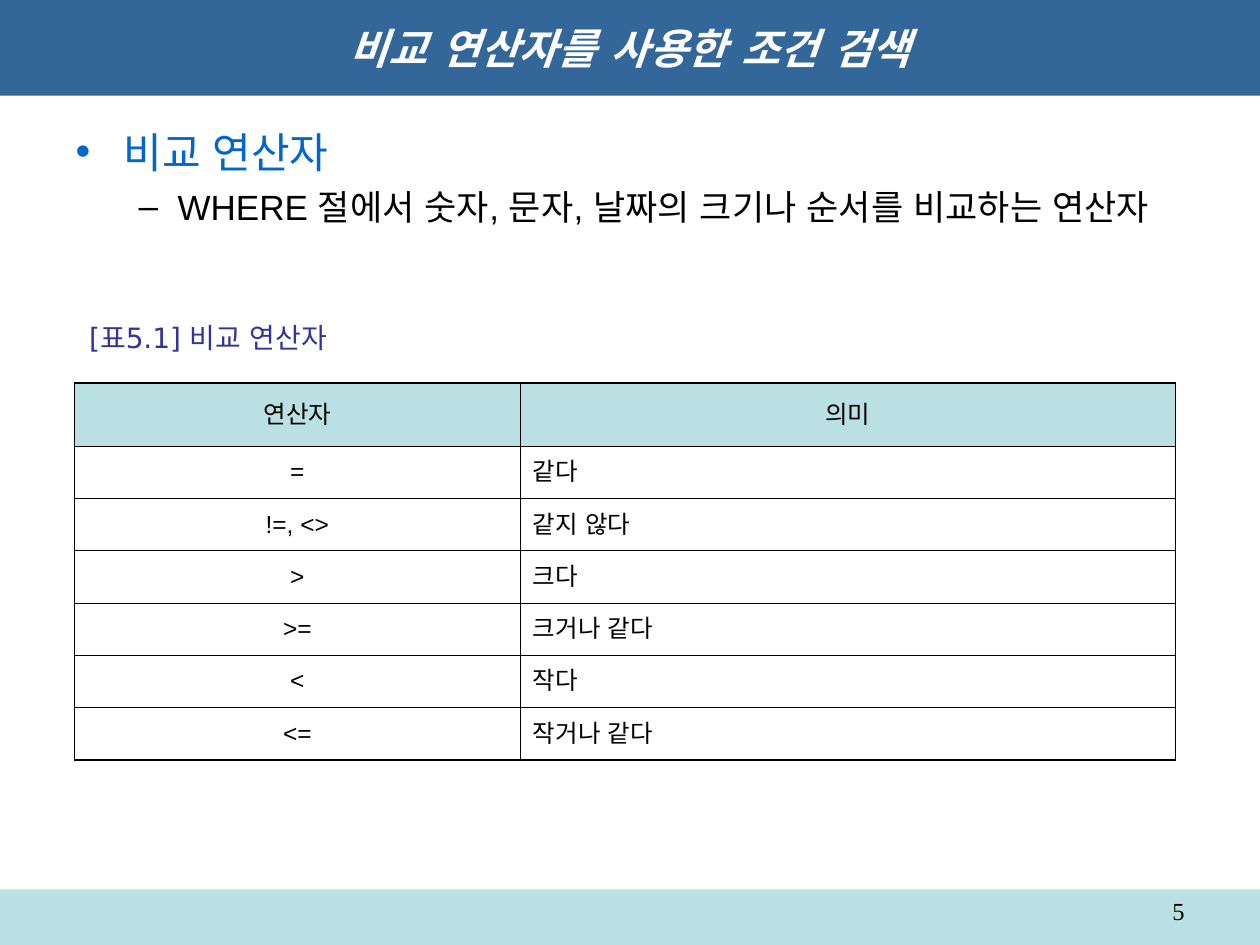
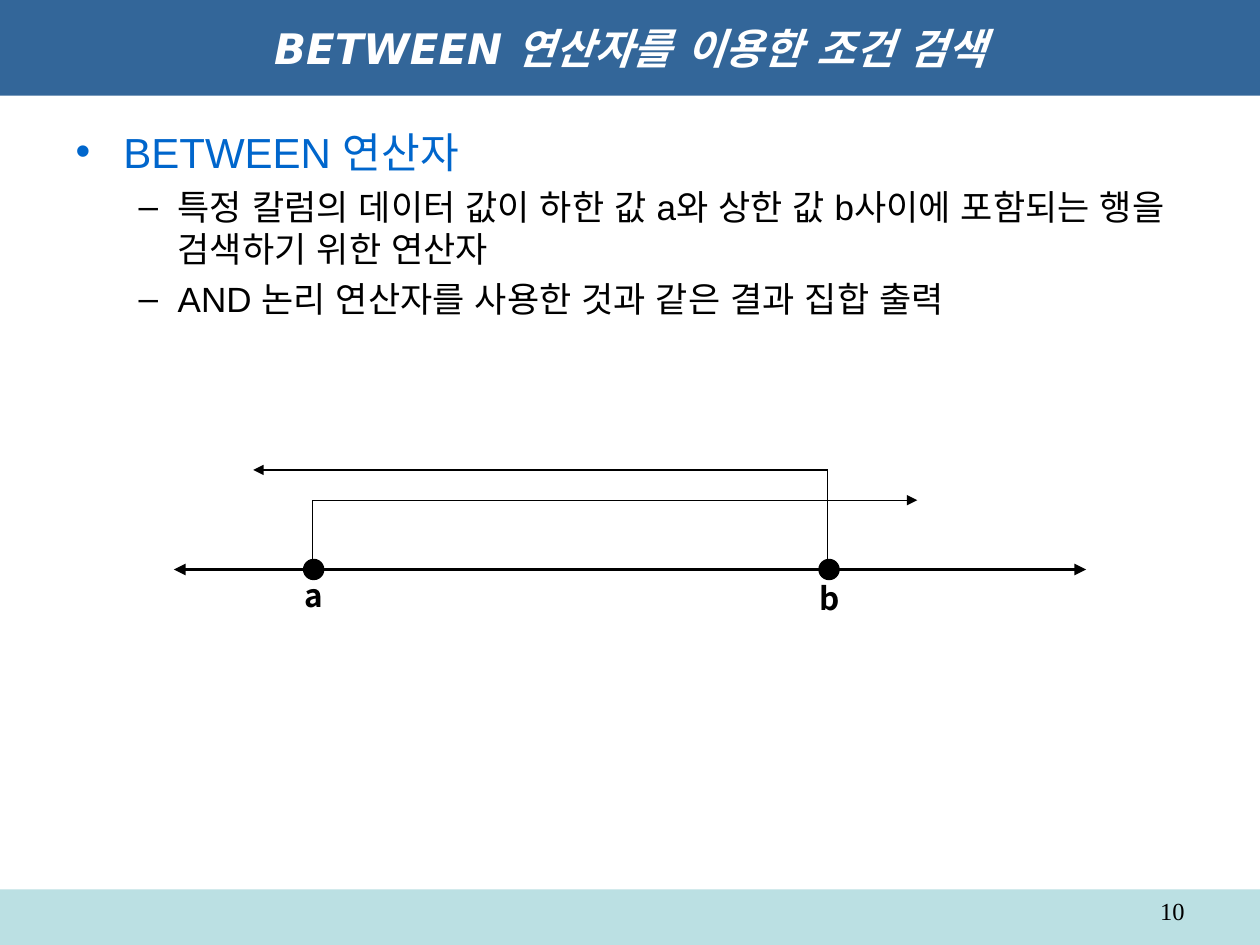
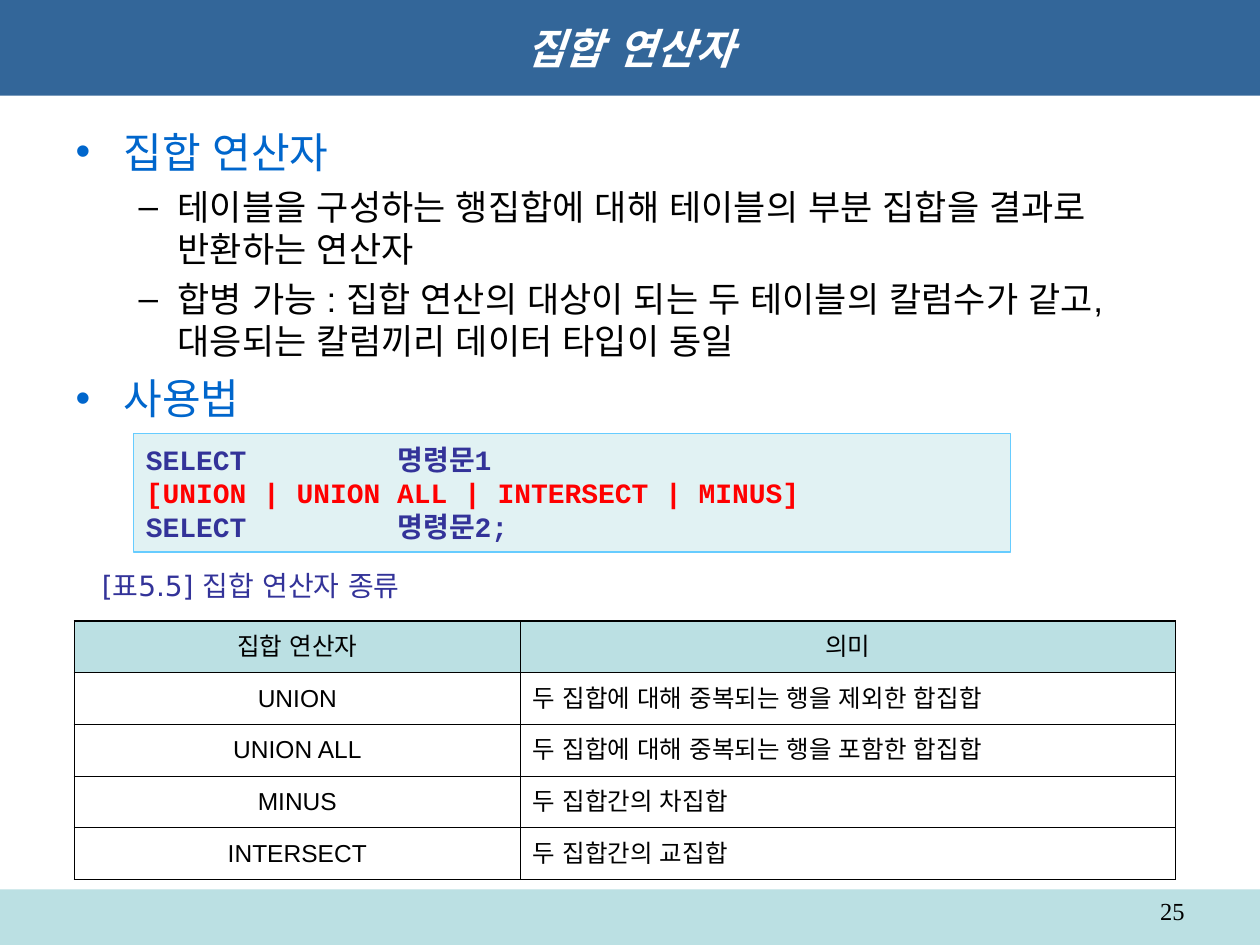
from pptx import Presentation
from pptx import util as u
from pptx.dml.color import RGBColor
from pptx.enum import shapes, text
from pptx.oxml import parse_xml
from pptx.oxml.ns import nsdecls, qn

# Shared look
NAVY, PALE, MIST = "336699", "BBE0E3", "E1F2F3"
BLUE, INDIGO, SKY = "0066CC", "333399", "66CCFF"
BLACK, WHITE, RED = "000000", "FFFFFF", "FF0000"
SANS, HEADING, CODE = "Arial", "DejaVu Sans", "Courier New"
LABEL, NUMBER = "Noto Sans CJK KR", "Times New Roman"
CENTER, RIGHT = text.PP_ALIGN.CENTER, text.PP_ALIGN.RIGHT
MIDDLE = text.MSO_ANCHOR.MIDDLE

# The page is a grid of 100 columns by 75 rows
COLUMNS, ROWS = 100, 75
CELL = u.Inches(0.1)
THIN, THICK = 0.45, 1.08

# Per outline level: size, colour, space before, left margin, hanging indent
LEVELS = [(24, BLUE, 6, 3.8, -3.8), (20, BLACK, 5, 8.1, -3.1)]


def cells(*counts):
    return [round(count * CELL) for count in counts]


def color(value):
    return RGBColor.from_string(value)


def style(para, font, size, ink, bold=False, italic=False):
    for span in para.runs:
        span.font.name, span.font.size = font, u.Pt(size)
        span.font.bold, span.font.italic = bold, italic
        span.font.color.rgb = color(ink)
        properties = span.font._element
        properties.find(qn("a:latin")).addnext(
            parse_xml(f'<a:ea {nsdecls("a")} typeface="{font}"/>'))


def place(shape, area):
    shape.left, shape.top, shape.width, shape.height = cells(*area)


def add_block(page, kind, area, fill, line=None, weight=1):
    block = page.shapes.add_shape(kind, *cells(*area))
    block.shadow.inherit = False
    block.fill.solid()
    block.fill.fore_color.rgb = color(fill)
    if line:
        block.line.color.rgb = color(line)
        block.line.width = u.Pt(weight)
    else:
        block.line.fill.background()
    return block


def add_text(page, words, area, font, size, ink, bold=False, align=None, anchor=None):
    frame = page.shapes.add_textbox(*cells(*area)).text_frame
    frame.word_wrap = True
    frame.vertical_anchor = anchor
    frame.text = words
    para = frame.paragraphs[0]
    para.alignment = align
    style(para, font, size, ink, bold)


def add_caption(page, words, area):
    add_text(page, words, area, HEADING, 16, INDIGO, anchor=MIDDLE)


def add_page(deck, title, number, outline):
    page = deck.slides.add_slide(deck.slide_layouts[1])
    heading, body = page.shapes.title, page.placeholders[1]

    # Title band
    place(heading, (0, 0, COLUMNS, 7.6))
    heading.fill.solid()
    heading.fill.fore_color.rgb = color(NAVY)
    heading.text_frame.text = title
    heading.text_frame.vertical_anchor = MIDDLE
    heading.text_frame.auto_size = text.MSO_AUTO_SIZE.NONE
    style(heading.text_frame.paragraphs[0], HEADING, 24, WHITE, True, True)

    # Outline
    place(body, (5, 9.5, 90, 59.5))
    frame = body.text_frame
    frame.text = "\n".join(words for level, words in outline)
    frame.auto_size = text.MSO_AUTO_SIZE.NONE
    for para, (level, words) in zip(frame.paragraphs, outline):
        size, ink, before, margin, indent = LEVELS[level]
        para.level, para.space_before = level, u.Pt(before)
        properties = para._p.get_or_add_pPr()
        for name, length in zip(("marL", "indent"), cells(margin, indent)):
            properties.set(name, str(length))
        style(para, SANS, size, ink)

    # Footer band and page number
    add_block(page, shapes.MSO_SHAPE.RECTANGLE, (0, 70.6, COLUMNS, ROWS - 70.6), PALE)
    add_text(page, str(number), (71.7, 70.6, 23.3, 2.9), NUMBER, 14, BLACK, align=RIGHT)
    return page


def set_borders(cell, outer):
    properties = cell._tc.get_or_add_tcPr()
    for place_in_order, side in enumerate("LRTB"):
        width = u.Pt(THICK if side in outer else THIN)
        properties.insert(place_in_order, parse_xml(
            f'<a:ln{side} {nsdecls("a")} w="{width}"><a:solidFill>'
            f'<a:srgbClr val="{BLACK}"/></a:solidFill></a:ln{side}>'))


def add_operator_table(page, top, head_height, row_height, rows):
    widths, last = (35.4, 52), len(rows) - 1
    height = head_height + last * row_height
    table = page.shapes.add_table(
        len(rows), 2, *cells(5.9, top, sum(widths), height)).table
    table.first_row = table.horz_banding = False
    for column, width in zip(table.columns, cells(*widths)):
        column.width = width
    for r, row in enumerate(rows):
        table.rows[r].height = cells(row_height if r else head_height)[0]
        for c, words in enumerate(row):
            cell = table.cell(r, c)
            cell.text = words
            cell.vertical_anchor = MIDDLE
            para = cell.text_frame.paragraphs[0]
            para.space_before = u.Pt(3.5)
            if r == 0 or c == 0:
                para.alignment = CENTER
            style(para, SANS, 14, BLACK)
            if r == 0:
                cell.fill.solid()
                cell.fill.fore_color.rgb = color(PALE)
            else:
                cell.fill.background()
            outer = "LR"[c] + ("T" if r == 0 else "") + ("B" if r == last else "")
            set_borders(cell, outer)


def add_line(page, start, end, weight=0.75, arrows=()):
    line = page.shapes.add_connector(
        shapes.MSO_CONNECTOR.STRAIGHT, *cells(*start, *end))
    line.line.color.rgb = color(BLACK)
    line.line.width = u.Pt(weight)
    for name in arrows:
        line.line._get_or_add_ln().append(
            parse_xml(f'<a:{name} {nsdecls("a")} type="triangle"/>'))
    line._element.spPr.append(parse_xml(f'<a:effectLst {nsdecls("a")}/>'))


def add_range_diagram(page):
    axis, dot = 45.2, 1.6
    add_line(page, (13.8, axis), (86.2, axis), 2.25, ("headEnd", "tailEnd"))
    # Each bound: name, column, height of its ray, where the ray ends, label row
    bounds = [("a", 24.8, 39.7, 72.8, 45.2), ("b", 65.7, 37.3, 20.1, 45.5)]
    for name, column, ray, tip, label in bounds:
        add_line(page, (column, axis), (column, ray))
        add_line(page, (column, ray), (tip, ray), arrows=("tailEnd",))
        add_text(page, name, (column - 1.6, label, 3.6, 4), LABEL, 18, BLACK, True)
        add_block(page, shapes.MSO_SHAPE.OVAL,
                  (column - dot / 2 + 0.1, axis - dot / 2, dot, dot), BLACK, BLACK, 0.75)


def add_code(page, area, lines):
    frame = add_block(page, shapes.MSO_SHAPE.RECTANGLE, area, MIST, SKY).text_frame
    frame.text = "\n".join(words for words, ink in lines)
    frame.vertical_anchor = MIDDLE
    for para, (words, ink) in zip(frame.paragraphs, lines):
        para.alignment = text.PP_ALIGN.LEFT
        para._p.get_or_add_pPr().append(parse_xml(
            f'<a:tabLst {nsdecls("a")}><a:tab pos="{u.Inches(2)}" algn="l"/></a:tabLst>'))
        style(para, CODE, 16, ink, True)


def main():
    deck = Presentation()
    deck.slide_width, deck.slide_height = cells(COLUMNS, ROWS)

    # Comparison operators
    page = add_page(deck, "비교 연산자를 사용한 조건 검색", 5, [
        (0, "비교 연산자"),
        (1, "WHERE 절에서 숫자, 문자, 날짜의 크기나 순서를 비교하는 연산자"),
    ])
    add_operator_table(page, 30.4, 5, 4.15, [
        ("연산자", "의미"), ("=", "같다"), ("!=, <>", "같지 않다"), (">", "크다"),
        (">=", "크거나 같다"), ("<", "작다"), ("<=", "작거나 같다"),
    ])
    add_caption(page, "[표5.1] 비교 연산자", (6.1, 24.9, 22.2, 3.7))

    # BETWEEN
    page = add_page(deck, "BETWEEN 연산자를 이용한 조건 검색", 10, [
        (0, "BETWEEN 연산자"),
        (1, "특정 칼럼의 데이터 값이 하한 값 a와 상한 값 b사이에 포함되는 행을 검색하기 위한 연산자"),
        (1, "AND 논리 연산자를 사용한 것과 같은 결과 집합 출력"),
    ])
    add_range_diagram(page)

    # Set operators
    page = add_page(deck, "집합 연산자", 25, [
        (0, "집합 연산자"),
        (1, "테이블을 구성하는 행집합에 대해 테이블의 부분 집합을 결과로 반환하는 연산자"),
        (1, "합병 가능 : 집합 연산의 대상이 되는 두 테이블의 칼럼수가 같고, "
            "대응되는 칼럼끼리 데이터 타입이 동일"),
        (0, "사용법"),
    ])
    add_operator_table(page, 49.3, 4.1, 4.1, [
        ("집합 연산자", "의미"),
        ("UNION", "두 집합에 대해 중복되는 행을 제외한 합집합"),
        ("UNION ALL", "두 집합에 대해 중복되는 행을 포함한 합집합"),
        ("MINUS", "두 집합간의 차집합"),
        ("INTERSECT", "두 집합간의 교집합"),
    ])
    add_caption(page, "[표5.5] 집합 연산자 종류", (7.1, 44.6, 28, 3.7))
    add_code(page, (10.6, 34.4, 69.6, 9.4), [
        ("SELECT\t명령문1", INDIGO),
        ("[UNION | UNION ALL | INTERSECT | MINUS]", RED),
        ("SELECT\t명령문2;", INDIGO),
    ])

    deck.save("out.pptx")


if __name__ == "__main__":
    main()
